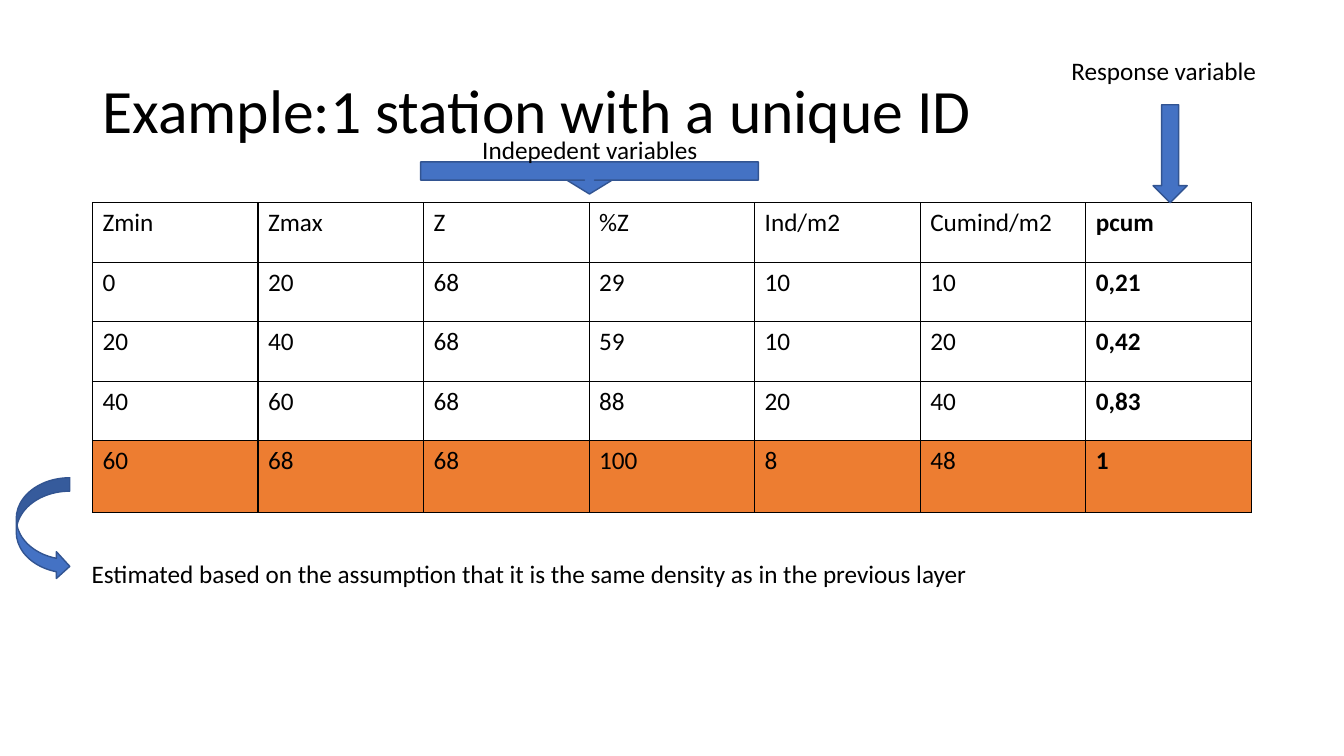
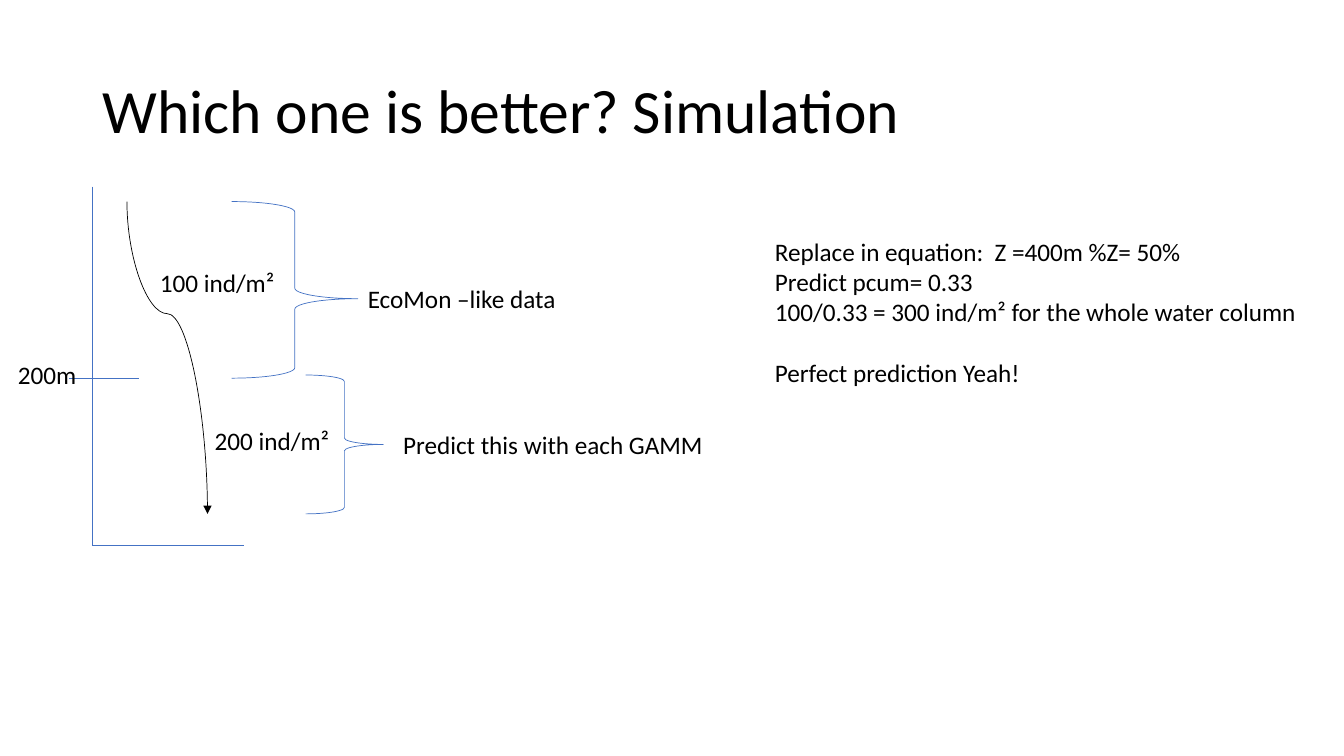
import pptx
import pptx.util
import pptx.dml.color
import pptx.enum.shapes
import pptx.enum.text
import pptx.oxml
import pptx.oxml.ns
import lxml.etree

Cm = pptx.util.Cm
Pt = pptx.util.Pt
KIND = pptx.enum.shapes.MSO_SHAPE
LINK = pptx.enum.shapes.MSO_CONNECTOR
ALIGN = pptx.enum.text.PP_ALIGN
FIT = pptx.enum.text.MSO_AUTO_SIZE
MID = pptx.enum.text.MSO_ANCHOR.MIDDLE
FONT = "Calibri"
HUES = {"ink": "000000", "blue": "4472C4", "edge": "325491", "mark": "ED7D31"}
ROWS = [
    ["Zmin", "Zmax", "Z", "%Z", "Ind/m2", "Cumind/m2", "pcum"],
    ["0", "20", "68", "29", "10", "10", "0,21"],
    ["20", "40", "68", "59", "10", "20", "0,42"],
    ["40", "60", "68", "88", "20", "40", "0,83"],
    ["60", "68", "68", "100", "8", "48", "1"],
]


def hue(name):
    return pptx.dml.color.RGBColor.from_string(HUES[name])


def node(root, tag, **attrs):
    return lxml.etree.SubElement(root, pptx.oxml.ns.qn(tag), attrs)


def write(frame, text, size=18, bold=False, align=ALIGN.LEFT, gap=None):
    frame.text = text
    for para in frame.paragraphs:
        para.alignment = align
        if gap:
            para.line_spacing = gap
        for run in para.runs:
            run.font.name = FONT
            run.font.size = Pt(size)
            run.font.bold = bold
            run.font.color.rgb = hue("ink")


def label(slide, box, text, wrap=False, **style):
    frame = slide.shapes.add_textbox(*map(Cm, box)).text_frame
    write(frame, text, **style)
    frame.word_wrap = wrap
    frame.auto_size = FIT.SHAPE_TO_FIT_TEXT
    return frame


def shape(slide, kind, box, fill="blue", edge="edge", width=1, adj=(), turn=0):
    form = slide.shapes.add_shape(kind, *map(Cm, box))
    form.shadow.inherit = False
    form.rotation = turn
    if fill:
        form.fill.solid()
        form.fill.fore_color.rgb = hue(fill)
    else:
        form.fill.background()
    form.line.color.rgb = hue(edge)
    form.line.width = Pt(width)
    for i, part in enumerate(adj):
        form.adjustments[i] = part


def line(slide, ends, color="blue", kind=LINK.STRAIGHT):
    link = slide.shapes.add_connector(kind, *map(Cm, ends))
    link.line.color.rgb = hue(color)
    link.line.width = Pt(0.5)
    node(link._element.spPr, "a:effectLst")
    return link


def curve(slide, x, y, wide, tall, bend):
    mid_x, mid_y = x + wide / 2, y + tall / 2
    ends = (mid_x + tall / 2, mid_y - wide / 2, mid_x - tall / 2, mid_y + wide / 2)
    link = line(slide, ends, "ink", LINK.CURVE)
    props = link._element.spPr
    props.find(pptx.oxml.ns.qn("a:xfrm")).set("rot", "16200000")
    guides = props.find(pptx.oxml.ns.qn("a:prstGeom")).get_or_add_avLst()
    node(guides, "a:gd", name="adj1", fmla=f"val {bend}")
    node(link.line._get_or_add_ln(), "a:tailEnd", type="triangle")


def start(deck, text):
    slide = deck.slides.add_slide(deck.slide_layouts[5])
    head = slide.shapes.title
    head.left, head.top, head.width, head.height = map(Cm, (2.33, 1.02, 29.21, 3.68))
    frame = head.text_frame
    write(frame, text, size=44, gap=0.9)
    frame.vertical_anchor = MID
    frame.word_wrap = True
    frame.auto_size = FIT.NONE
    return slide


def border(cell):
    props = cell._tc.get_or_add_tcPr()
    for side in "LRTB":
        edge = node(props, f"a:ln{side}", w=str(Pt(1)))
        node(node(edge, "a:solidFill"), "a:srgbClr", val=HUES["ink"])


def grid(slide, x, y, wide, tall):
    size = len(ROWS), len(ROWS[0])
    table = slide.shapes.add_table(*size, *map(Cm, (x, y, wide, tall))).table
    table.first_row = table.horz_banding = False
    for col in table.columns:
        col.width = Cm(wide / size[1])
    for r, row in enumerate(ROWS):
        last = r == size[0] - 1
        table.rows[r].height = Cm(tall - 1.5 * r if last else 1.5)
        for c, text in enumerate(row):
            cell = table.cell(r, c)
            write(cell.text_frame, text, bold=c == size[1] - 1)
            border(cell)
            if last:
                cell.fill.solid()
                cell.fill.fore_color.rgb = hue("mark")
            else:
                cell.fill.background()


def cues(slide, x, y, wide, tall):
    base = y + tall
    label(slide, (x - 0.27, base + 1.03, 23.27, 1.02),
          "Estimated based on the assumption that it is the same density as in the previous layer",
          wrap=True)
    shape(slide, KIND.CURVED_RIGHT_ARROW, (x - 1.92, base - 0.87, 1.35, 2.57))
    shape(slide, KIND.DOWN_ARROW, (x + wide - 2.48, y - 2.47, 0.86, 2.47))
    label(slide, (x + wide - 4.79, y - 3.84, 5.23, 1.02), "Response variable")
    shape(slide, KIND.RIGHT_ARROW_CALLOUT, (x + 12.12, y - 4.88, 0.81, 8.51),
          adj=(0.311, 0.707, 0.433, 0.65), turn=90)
    label(slide, (x + 9.13, y - 1.86, 6.81, 1.02), "Indepedent variables",
          wrap=True, align=ALIGN.CENTER)


def depth(slide, x, y, wide, tall):
    curve(slide, x + 0.87, y + 0.38, 2.03, 7.87, 35900)
    level = y + 4.83
    for ends in ((x, y, x, y + tall), (x, y + tall, x + wide, y + tall),
                 (x - 0.58, level, x + 1.17, level)):
        line(slide, ends)
    for box, adj in (((3.51, 0.38, 3.18, 4.45), (0.083, 0.55)),
                     ((5.37, 4.75, 1.96, 3.5), (0.083, 0.5))):
        shape(slide, KIND.RIGHT_BRACE, (x + box[0], y + box[1], *box[2:]),
              fill=None, edge="blue", width=0.5, adj=adj)
    for left, top, span, text in (
        (-2.13, 4.24, 2.01, "200m"),
        (6.69, 2.31, 5.28, "EcoMon –like data"),
        (7.58, 5.99, 8.15, "Predict this with each GAMM"),
        (1.45, 1.9, 3.43, "100 ind/m²"),
        (2.83, 5.89, 3.43, "200 ind/m²"),
    ):
        label(slide, (x + left, y + top, span, 1.02), text)


def notes(slide, *box):
    frame = label(slide, box, "\n".join((
        "Replace in equation:  Z =400m %Z= 50%",
        "Predict pcum= 0.33",
        "100/0.33 = 300 ind/m² for the whole water column",
        "Perfect prediction Yeah!")))
    frame.paragraphs[-1].space_before = Pt(22)


def main():
    deck = pptx.Presentation()
    deck.slide_width, deck.slide_height = Cm(33.87), Cm(19.05)
    slide = start(deck, "Example:1 station with a unique ID")
    area = (2.33, 5.11, 29.21, 7.8)
    grid(slide, *area)
    cues(slide, *area)
    slide = start(deck, "Which one is better? Simulation")
    notes(slide, 19.28, 5.82, 13.82, 4.1)
    depth(slide, 2.33, 4.7, 3.81, 9.05)
    deck.save("out.pptx")


if __name__ == "__main__":
    main()
